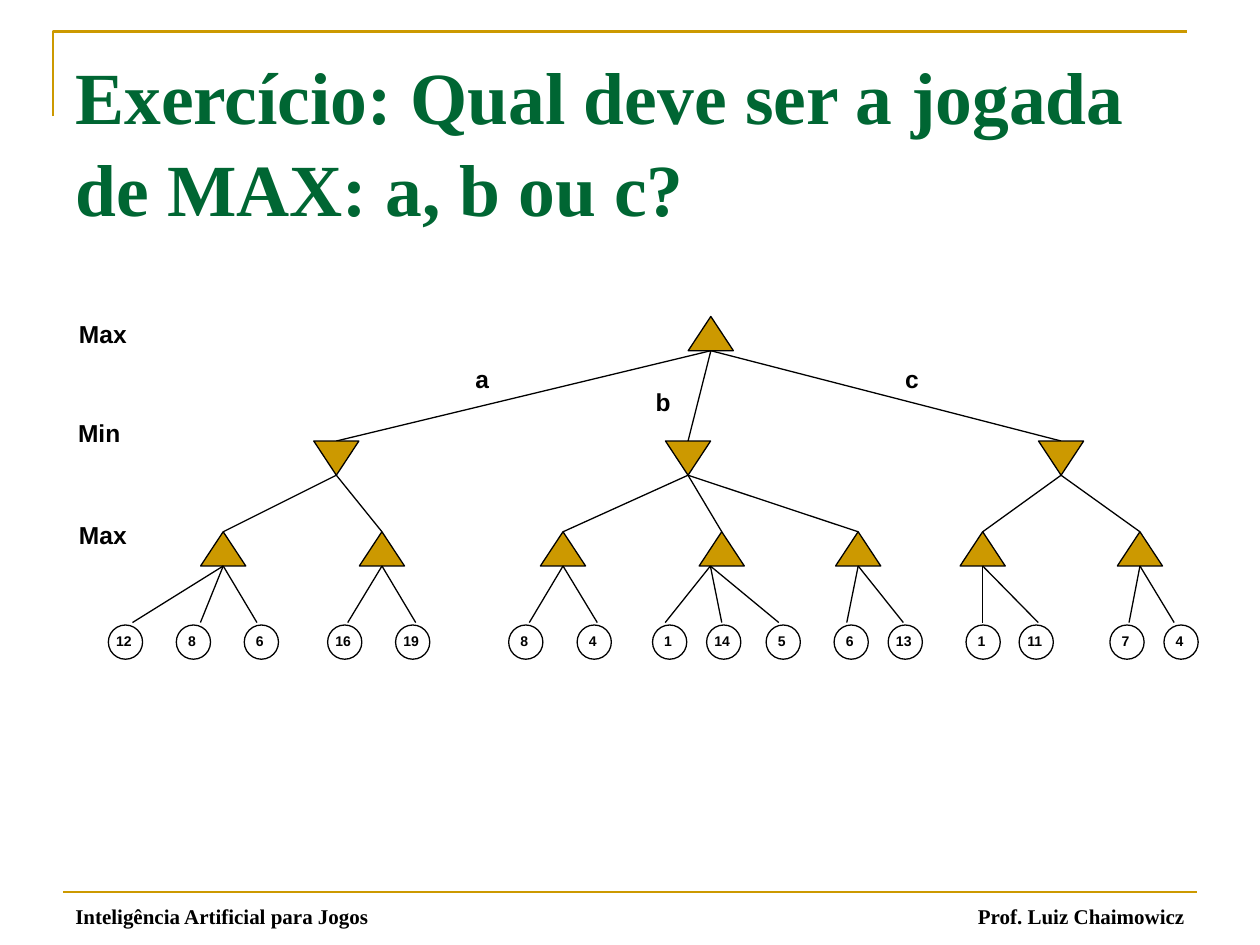
from dataclasses import dataclass

from pptx import Presentation
from pptx.dml.color import RGBColor as Rgb
from pptx.enum.shapes import MSO_CONNECTOR as Link, MSO_SHAPE as Kind
from pptx.enum.text import MSO_ANCHOR as Anchor, PP_ALIGN as Align
from pptx.oxml.ns import qn
from pptx.util import Cm, Pt

COLORS = {"gold": "CC9900", "green": "006633", "ink": "000000"}
SERIF, SANS = "Times New Roman", "Arial"

# Tree sizes in cm
TRI_W, TRI_H, DISC = 0.91, 0.69, 0.69
TOPS = (6.38, 8.89, 10.72)
DISC_TOP, TIP_Y = 12.6, 12.55


@dataclass
class Leaf:
    value: int
    x: float
    tip: float


@dataclass
class Node:
    x: float
    kids: list
    shift: float = 0


@dataclass
class Label:
    text: str
    x: float
    y: float
    w: float


TREE = Node(14.33, [
    Node(6.78, [
        Node(4.5, [Leaf(12, 2.53, 2.67), Leaf(8, 3.9, 4.04), Leaf(6, 5.27, 5.18)]),
        Node(7.7, [Leaf(16, 6.95, 7.01), Leaf(19, 8.32, 8.38)]),
    ]),
    Node(13.87, [
        Node(11.35, [Leaf(8, 10.6, 10.67), Leaf(4, 11.98, 12.04)]),
        Node(14.55, [Leaf(1, 13.5, 13.41), Leaf(14, 14.59, 14.55),
                     Leaf(5, 15.79, 15.7)], shift=-0.23),
        Node(17.3, [Leaf(6, 17.16, 17.07), Leaf(13, 18.25, 18.21)]),
    ]),
    Node(21.39, [
        Node(19.81, [Leaf(1, 19.82, 19.81), Leaf(11, 20.89, 20.93)]),
        Node(22.98, [Leaf(7, 22.72, 22.76), Leaf(4, 23.81, 23.67)]),
    ]),
])

LABELS = [
    Label("Max", 1.3, 6.3, 1.55), Label("Min", 1.3, 8.31, 1.4),
    Label("Max", 1.3, 10.36, 1.55), Label("a", 9.3, 7.21, 0.84),
    Label("b", 12.95, 7.67, 0.84), Label("c", 17.98, 7.21, 0.81),
]


def paint(name: str) -> Rgb:
    return Rgb.from_string(COLORS[name])


def stroke(shape, name: str = "ink", width: float = 0.75) -> None:
    shape.line.color.rgb = paint(name)
    shape.line.width = Pt(width)


def write(slide, text: str, x: float, y: float, w: float, h: float, size: float,
          font: str = SANS, color: str = "ink", align=Align.CENTER,
          anchor=Anchor.TOP, wrap: bool = False):
    frame = slide.shapes.add_textbox(Cm(x), Cm(y), Cm(w), Cm(h)).text_frame
    frame.word_wrap = wrap
    frame.vertical_anchor = anchor
    frame.text = text
    para = frame.paragraphs[0]
    para.alignment = align
    style = para.runs[0].font
    style.name, style.size, style.bold = font, Pt(size), True
    style.color.rgb = paint(color)
    return para


def join(slide, x1: float, y1: float, x2: float, y2: float,
         color: str = "ink", width: float = 0.75) -> None:
    line = slide.shapes.add_connector(Link.STRAIGHT, Cm(x1), Cm(y1), Cm(x2), Cm(y2))
    stroke(line, color, width)
    props = line._element.spPr
    props.append(props.makeelement(qn("a:effectLst"), {}))


def draw_leaf(slide, leaf: Leaf) -> None:
    disc = slide.shapes.add_shape(Kind.OVAL, Cm(leaf.x - DISC / 2), Cm(DISC_TOP),
                                  Cm(DISC), Cm(DISC))
    disc.shadow.inherit = False
    disc.fill.background()
    stroke(disc)
    wide = 0.89 if leaf.value > 9 else 0.71
    write(slide, str(leaf.value), leaf.x - 0.03 - wide / 2, 12.62, wide, 0.64, 8)


def draw_node(slide, node: Node, depth: int = 0) -> None:
    top = TOPS[depth]
    tri = slide.shapes.add_shape(Kind.ISOSCELES_TRIANGLE, Cm(node.x - TRI_W / 2),
                                 Cm(top), Cm(TRI_W), Cm(TRI_H))
    tri.shadow.inherit = False
    tri.rotation = 180 if depth == 1 else 0  # Min points down
    tri.fill.solid()
    tri.fill.fore_color.rgb = paint("gold")
    stroke(tri)
    foot = node.x + node.shift
    for kid in node.kids:
        if isinstance(kid, Leaf):
            join(slide, foot, top + TRI_H, kid.tip, TIP_Y)
            draw_leaf(slide, kid)
        else:
            join(slide, foot, top + TRI_H, kid.x, TOPS[depth + 1])
            draw_node(slide, kid, depth + 1)


def main() -> None:
    deck = Presentation()
    deck.slide_width, deck.slide_height = Cm(25.4), Cm(19.05)
    slide = deck.slides.add_slide(deck.slide_layouts[6])

    # Corner rule and footer rule
    pen = slide.shapes.build_freeform(Cm(1.07), Cm(2.34))
    pen.add_line_segments([(Cm(1.07), Cm(0.64)), (Cm(23.93), Cm(0.64))], close=False)
    rule = pen.convert_to_shape()
    rule.shadow.inherit = False
    rule.fill.background()
    stroke(rule, "gold", 1.5)
    join(slide, 1.27, 17.98, 24.13, 17.98, "gold", 1.5)

    # Title and footer
    title = write(slide, "Exercício: Qual deve ser a jogada de MAX: a, b ou c?",
                  1.27, 0.76, 22.86, 4.09, 42, SERIF, "green", Align.LEFT,
                  Anchor.MIDDLE, True)
    title.line_spacing = 1.04
    write(slide, "Inteligência Artificial para Jogos", 1.27, 18.21, 7.19, 0.64, 12,
          SERIF, align=Align.LEFT, anchor=Anchor.BOTTOM, wrap=True)
    write(slide, "Prof. Luiz Chaimowicz", 18.21, 18.21, 5.92, 0.64, 12,
          SERIF, align=Align.RIGHT, anchor=Anchor.BOTTOM, wrap=True)

    # Game tree with its labels
    draw_node(slide, TREE)
    for label in LABELS:
        write(slide, label.text, label.x, label.y, label.w, 0.91, 14)

    deck.save("out.pptx")


if __name__ == "__main__":
    main()
